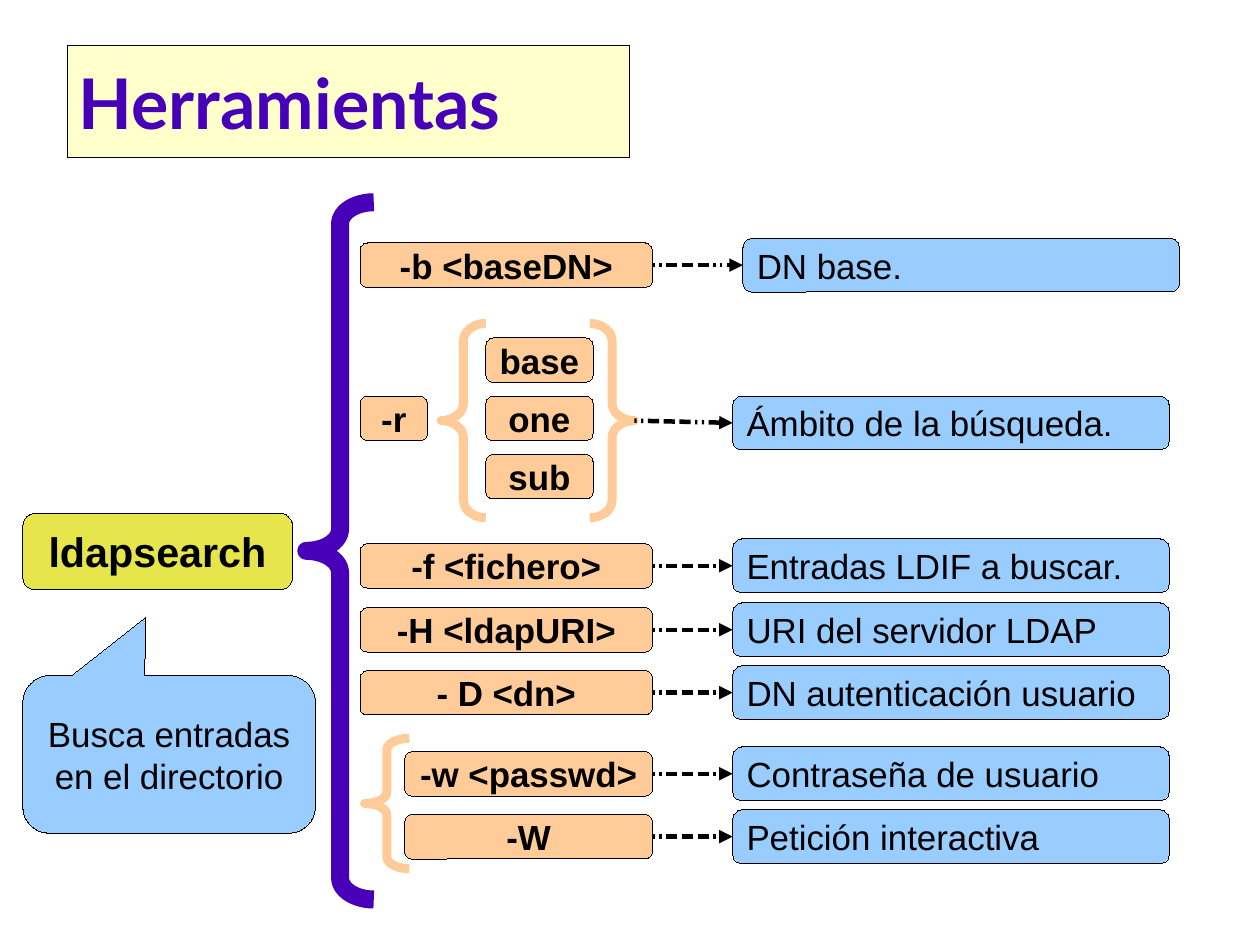
from lxml import etree
from pptx import Presentation
from pptx.dml.color import RGBColor
from pptx.enum import shapes, text
from pptx.oxml.ns import qn
from pptx.util import Cm, Inches, Pt

SHAPE = shapes.MSO_SHAPE
PURPLE, CREAM, OLIVE = "4700B8", "FFFFCC", "E6E64C"
ORANGE, BLUE, BLACK = "FFCC99", "99CCFF", "000000"

OPTION_RIGHT, OPTION_H = 5.71, 0.39
DESC_W, DESC_H = 3.82, 0.47
# vertical centre, option left, option, description left, description
ROWS = [
    (2.32, 3.15, "-b <baseDN>", 6.5, "DN base."),
    (4.95, 3.15, "-f <fichero>", 6.41, "Entradas LDIF a buscar."),
    (5.51, 3.15, "-H <ldapURI>", 6.41, "URI del servidor LDAP"),
    (6.06, 3.15, "- D <dn>", 6.41, "DN autenticación usuario"),
    (6.77, 3.54, "-w <passwd>", 6.41, "Contraseña de usuario"),
    (7.32, 3.54, "-W", 6.41, "Petición interactiva"),
]


def color(value):
    return RGBColor.from_string(value)


def paint(sp, fill):
    sp.fill.solid()
    sp.fill.fore_color.rgb = color(fill)
    sp.line.color.rgb = color(BLACK)
    sp.line.width = Pt(0)


def write(sp, words, size, bold, align, font="Arial", ink=BLACK):
    tf = sp.text_frame
    tf.word_wrap = True
    tf.auto_size = text.MSO_AUTO_SIZE.NONE
    tf.vertical_anchor = text.MSO_ANCHOR.MIDDLE
    p = tf.paragraphs[0]
    p.text = words
    p.alignment = align
    p.font.name, p.font.size, p.font.bold = font, Pt(size), bold
    p.font.color.rgb = color(ink)


def add_box(s, box, words, fill, size=22, bold=False,
            align=text.PP_ALIGN.CENTER, kind=SHAPE.ROUNDED_RECTANGLE):
    sp = s.shapes.add_shape(kind, *map(Inches, box))
    sp.shadow.inherit = False
    # without the theme style the zero-width outline stays a hairline
    sp._element.remove(sp._element.find(qn("p:style")))
    paint(sp, fill)
    write(sp, words, size, bold, align)
    return sp


def add_option(s, left, middle, width, words):
    add_box(s, (left, middle - OPTION_H / 2, width, OPTION_H),
            words, ORANGE, bold=True)


def add_description(s, left, middle, words):
    add_box(s, (left, middle - DESC_H / 2, DESC_W, DESC_H),
            words, BLUE, align=text.PP_ALIGN.LEFT)


def add_brace(s, box, ink, width, curve, kind=SHAPE.LEFT_BRACE):
    """Draw a brace; curve is the height of each bend in inches."""
    sp = s.shapes.add_shape(kind, *map(Inches, box))
    sp.shadow.inherit = False
    sp.adjustments[0] = curve / box[2]
    sp.fill.background()
    sp.line.color.rgb = color(ink)
    sp.line.width = Pt(width)


def add_arrow(s, x1, y1, x2, y2):
    """Draw an arrow with a pattern of two dots and three dashes."""
    cx = s.shapes.add_connector(shapes.MSO_CONNECTOR.STRAIGHT,
                                *map(Inches, (x1, y1, x2, y2)))
    cx.line.color.rgb = color(BLACK)
    cx.line.width = Pt(2.83)
    ln = cx.line._get_or_add_ln()
    dashes = etree.SubElement(ln, qn("a:custDash"))
    for length in [50000] * 2 + [250000] * 3:
        etree.SubElement(dashes, qn("a:ds"), d=str(length), sp="100000")
    etree.SubElement(ln, qn("a:tailEnd"), type="triangle")
    etree.SubElement(cx._element.spPr, qn("a:effectLst"))


def add_title(s, box):
    title = s.shapes.title
    title.left, title.top, title.width, title.height = map(Inches, box)
    paint(title, CREAM)
    write(title, "Herramientas", 44, True, text.PP_ALIGN.LEFT, "Lato", PURPLE)


def add_command(s, left, top):
    """Place the command and the callout that explains it."""
    add_box(s, (left, top, 2.36, 0.67), "ldapsearch", OLIVE, 26, True)
    callout = add_box(s, (left, top + 1.42, 2.56, 1.38),
                      "Busca entradas en el directorio", BLUE,
                      kind=SHAPE.ROUNDED_RECTANGULAR_CALLOUT)
    for i, value in enumerate((-0.08, -0.87, 0.17)):
        callout.adjustments[i] = value


def add_scope(s, left, middle):
    """Place the -r option with its braced list of values."""
    option_middle = middle - 0.02
    add_option(s, left, option_middle, 0.59, "-r")
    top = middle - 0.85
    add_brace(s, (left + 0.71, top, 0.39, 1.7), ORANGE, 5.67, 0.15)
    add_brace(s, (left + 2.01, top, 0.39, 1.7), ORANGE, 5.67, 0.15,
              SHAPE.RIGHT_BRACE)
    for i, value in enumerate(("base", "one", "sub")):
        add_option(s, left + 1.1, option_middle + (i - 1) * 0.51, 0.94, value)
    add_arrow(s, left + 2.4, middle, 6.41, middle + 0.02)
    add_description(s, 6.41, middle + 0.02, "Ámbito de la búsqueda.")


def add_rows(s):
    for middle, left, option, desc_left, description in ROWS:
        add_option(s, left, middle, OPTION_RIGHT - left, option)
        add_description(s, desc_left, middle, description)
        add_arrow(s, OPTION_RIGHT, middle, desc_left, middle)


def main():
    prs = Presentation()
    prs.slide_width, prs.slide_height = Cm(28), Cm(21)
    s = prs.slides.add_slide(prs.slide_layouts[5])
    add_title(s, (0.59, 0.4, 4.92, 0.98))
    add_command(s, 0.2, 4.49)
    add_brace(s, (2.68, 1.77, 0.59, 6.1), PURPLE, 11.34, 0.19)
    add_scope(s, 3.15, 3.68)
    add_brace(s, (3.19, 6.46, 0.39, 1.14), ORANGE, 5.67, 0.1)
    add_rows(s)
    prs.save("out.pptx")


if __name__ == "__main__":
    main()
